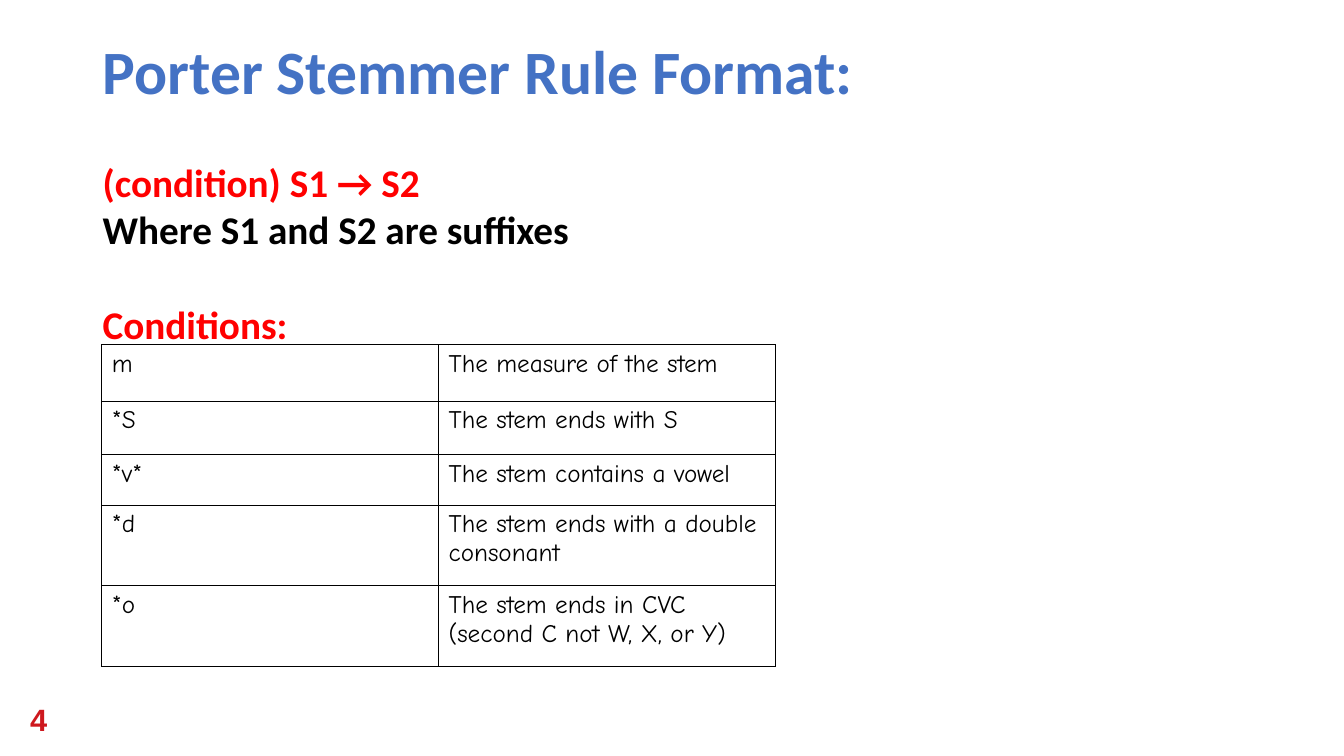
from lxml.etree import SubElement
from pptx import Presentation
from pptx.dml.color import RGBColor
from pptx.enum.text import MSO_ANCHOR
from pptx.oxml.ns import qn
from pptx.util import Inches, Pt

COLORS = {"blue": "4472C4", "red": "FF0000", "black": "000000", "number": "CE181E"}

# Each paragraph: text, color name, space before in points
TEXT_BOXES = [
    {"at": (0.92, 0.01, 11.5, 1.45), "anchor": MSO_ANCHOR.MIDDLE,
     "font": {"name": "Calibri", "size": Pt(44), "bold": True}, "line_spacing": 0.9,
     "paragraphs": [("Porter Stemmer Rule Format:", "blue", 0)]},
    {"at": (0.92, 1.52, 11.5, 1.68), "anchor": MSO_ANCHOR.TOP,
     "font": {"name": "Calibri", "size": Pt(28), "bold": True}, "line_spacing": 1.0,
     "paragraphs": [("(condition) S1 → S2", "red", 0),
                    ("Where S1 and S2 are suffixes", "black", 0),
                    ("Conditions:", "red", 34)]},
    {"at": (0.2, 6.9, 0.4, 0.44), "anchor": MSO_ANCHOR.TOP,
     "font": {"name": "Arial", "size": Pt(22), "bold": True}, "line_spacing": 1.0,
     "paragraphs": [("4", "number", 0)]},
]

# Each row: condition, meaning, height in inches
CONDITIONS = [
    ("m", "The measure of the stem", 0.56),
    ("*S", "The stem ends with S", 0.53),
    ("*v*", "The stem contains a vowel", 0.5),
    ("*d", "The stem ends with a double consonant", 0.8),
    ("*o", "The stem ends in CVC (second C not W, X, or Y)", 0.8),
]
TABLE_LEFT, TABLE_TOP, COLUMN_WIDTH = 1.01, 3.42, 3.34
TABLE_FONT = {"name": "Comic Neue", "size": Pt(18), "bold": False}
THIN, THICK = 0.45, 1.08


def fill_paragraph(paragraph, text, color, font, space_before):
    paragraph.space_before = Pt(space_before)
    run = paragraph.add_run()
    run.text = text
    for name, value in font.items():
        setattr(run.font, name, value)
    run.font.color.rgb = RGBColor.from_string(COLORS[color])


def add_text(slide, box):
    frame = slide.shapes.add_textbox(*map(Inches, box["at"])).text_frame
    frame.word_wrap = True
    frame.vertical_anchor = box["anchor"]
    for index, (text, color, space_before) in enumerate(box["paragraphs"]):
        paragraph = frame.add_paragraph() if index else frame.paragraphs[0]
        paragraph.line_spacing = box["line_spacing"]
        fill_paragraph(paragraph, text, color, box["font"], space_before)


def set_borders(cell, widths):
    """Draw black cell borders; widths maps each side (L, R, T, B) to points."""
    properties = cell._tc.get_or_add_tcPr()
    for side, width in widths.items():
        line = SubElement(properties, qn(f"a:ln{side}"), w=str(Pt(width)))
        fill = SubElement(line, qn("a:solidFill"))
        SubElement(fill, qn("a:srgbClr"), val=COLORS["black"])


def add_conditions_table(slide):
    height = sum(row[-1] for row in CONDITIONS)
    table = slide.shapes.add_table(
        len(CONDITIONS), 2, Inches(TABLE_LEFT), Inches(TABLE_TOP),
        Inches(2 * COLUMN_WIDTH), Inches(height)).table
    table.first_row = table.horz_banding = False
    for column in table.columns:
        column.width = Inches(COLUMN_WIDTH)
    for row_index, (*texts, row_height) in enumerate(CONDITIONS):
        table.rows[row_index].height = Inches(row_height)
        is_last = row_index == len(CONDITIONS) - 1
        for column_index, text in enumerate(texts):
            cell = table.cell(row_index, column_index)
            fill_paragraph(cell.text_frame.paragraphs[0], text, "black", TABLE_FONT, 4.5)
            set_borders(cell, {
                "L": THIN if column_index else THICK,
                "R": THICK if column_index else THIN,
                "T": THIN,
                "B": THICK if is_last else THIN,
            })
            cell.fill.background()


def main():
    presentation = Presentation()
    presentation.slide_width, presentation.slide_height = Inches(13.33), Inches(7.5)
    slide = presentation.slides.add_slide(presentation.slide_layouts[6])
    title, rule, number = TEXT_BOXES
    add_text(slide, title)
    add_text(slide, rule)
    add_conditions_table(slide)
    add_text(slide, number)
    presentation.save("out.pptx")


if __name__ == "__main__":
    main()
